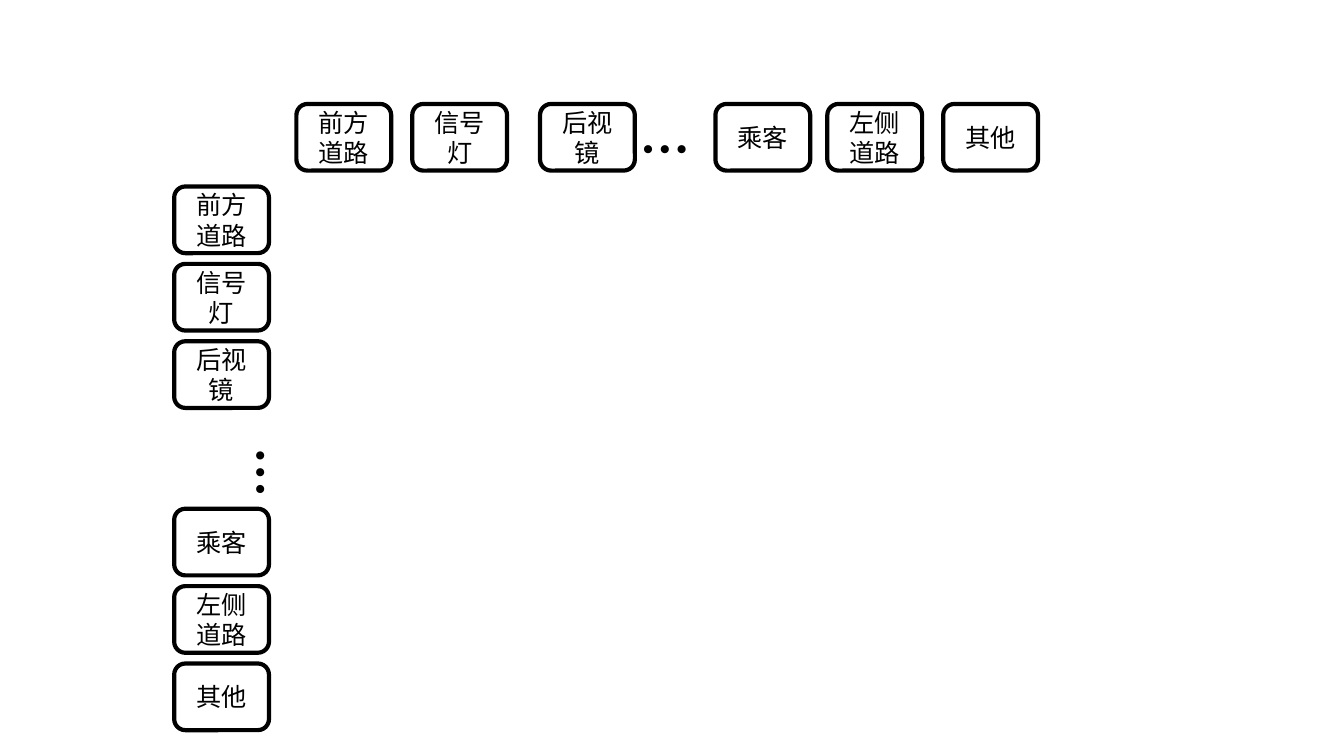
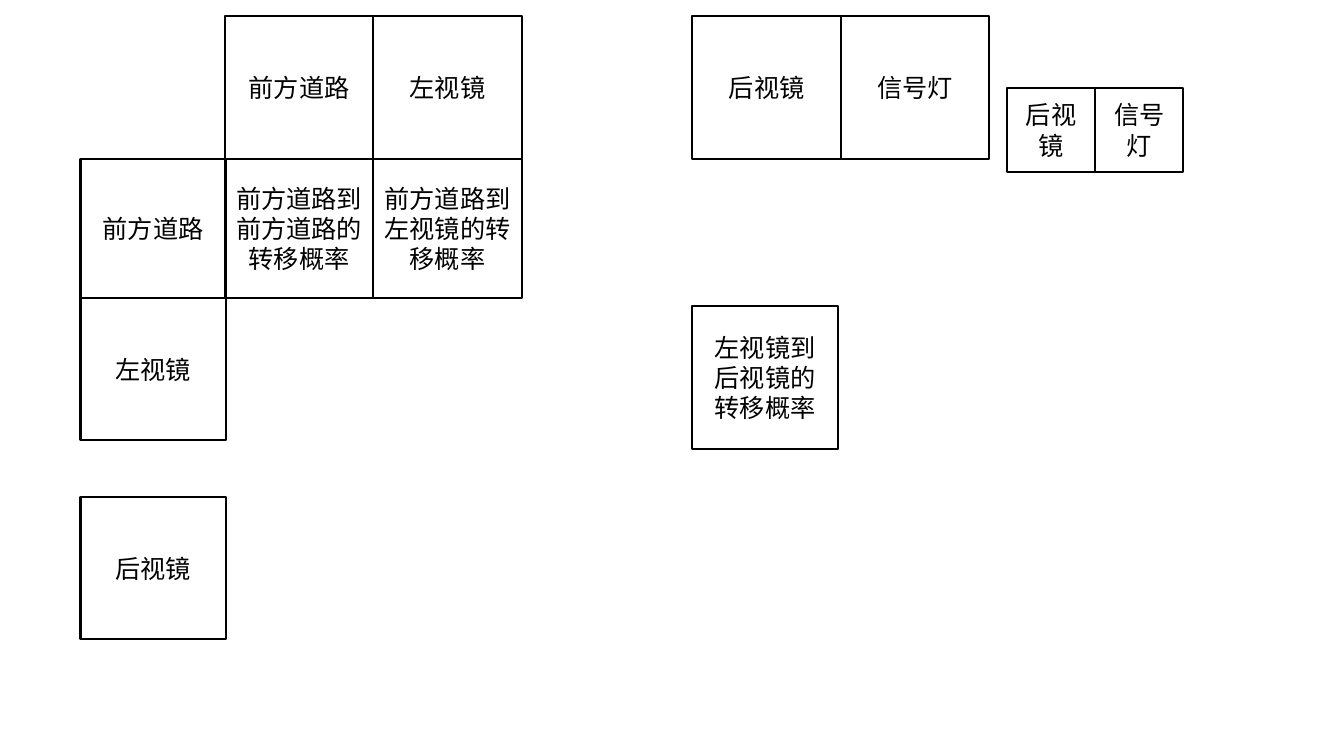
import pptx
import pptx.util
import pptx.dml.color
import pptx.enum.shapes
import pptx.enum.text
import pptx.oxml.ns
from lxml import etree

Cm = pptx.util.Cm
Pt = pptx.util.Pt
KIND = pptx.enum.shapes.MSO_SHAPE
ALIGN = pptx.enum.text.PP_ALIGN
ANCHOR = pptx.enum.text.MSO_ANCHOR

COLOURS = {"ink": "000000"}
FONT = "Noto Sans CJK SC"

ITEMS = ["前方道路", "信号灯", "后视镜", "乘客", "左侧道路", "其他"]


def colour(name):
    return pptx.dml.color.RGBColor.from_string(COLOURS[name])


def write(frame, text, size=18, bold=False, align=ALIGN.CENTER,
          anchor=ANCHOR.MIDDLE, ink="ink"):
    frame.word_wrap = True
    frame.vertical_anchor = anchor
    para = frame.paragraphs[0]
    para.alignment = align
    run = para.add_run()
    run.text = text
    font = run.font
    font.size = Pt(size)
    font.bold = bold
    font.name = FONT
    font.color.rgb = colour(ink)
    # East Asian text takes its typeface from a:ea
    props = run._r.get_or_add_rPr()
    east = etree.SubElement(props, pptx.oxml.ns.qn("a:ea"))
    east.set("typeface", FONT)


def box(slide, text, left, top, width, height, kind=KIND.RECTANGLE, line=1.5):
    shape = slide.shapes.add_shape(
        kind, Cm(left), Cm(top), Cm(width), Cm(height))
    shape.shadow.inherit = False
    shape.fill.background()
    shape.line.color.rgb = colour("ink")
    shape.line.width = Pt(line)
    write(shape.text_frame, text)


def row(slide, texts, left, top, width, height):
    """Draw boxes side by side, edges touching."""
    for i, text in enumerate(texts):
        box(slide, text, left + i * width, top, width, height)


def dots(slide, left, top, turn=0):
    """Draw an ellipsis in vertical text, turned by the given degrees."""
    shape = slide.shapes.add_textbox(Cm(left), Cm(top), Cm(2.06), Cm(1.27))
    shape.rotation = turn
    shape.element.txBody.bodyPr.set("vert", "eaVert")
    write(shape.text_frame, "…", size=36, bold=True,
          align=ALIGN.LEFT, anchor=ANCHOR.TOP)


def axes(slide):
    """Draw the same items as column heads and as row heads."""
    size = (2.39, 1.68)
    cols = [7.47, 10.39, 13.61, 18.03, 20.85, 23.77]
    rows = [start + i * 1.95 for start in (4.7, 12.82) for i in range(3)]
    for text, left, top in zip(ITEMS, cols, rows):
        for spot in ((left, 2.62), (4.39, top)):
            box(slide, text, *spot, *size, kind=KIND.ROUNDED_RECTANGLE, line=3)
    dots(slide, 5.41, 11.02)
    dots(slide, 15.98, 3.02, turn=90)


def matrix(slide):
    """Draw the heads and cells of the transition matrix."""
    side, cell, wide, tall, low = 2.03, 5.67, 3.74, 3.59, 3.51
    head, first, right, slim = 0.41, 4.0, 17.45, 3.66
    row(slide, ["前方道路", "左视镜"], cell, head, wide, tall)
    row(slide, ["后视镜", "信号灯"], right, head, wide, tall)
    row(slide, ["后视镜", "信号灯"], 25.38, 2.21, 2.22, 2.13)
    row(slide, ["前方道路到前方道路的转移概率", "前方道路到左视镜的转移概率"],
        cell, first, wide, low)
    box(slide, "前方道路", side, first, slim, low)
    box(slide, "左视镜", side, first + low, slim, tall)
    box(slide, "后视镜", side, 12.52, slim, tall)
    box(slide, "左视镜到后视镜的转移概率", right, 7.72, slim, tall)


def main():
    deck = pptx.Presentation()
    deck.slide_width = Cm(33.87)
    deck.slide_height = Cm(19.05)
    blank = deck.slide_layouts[6]
    for draw in (axes, matrix):
        draw(deck.slides.add_slide(blank))
    deck.save("out.pptx")


if __name__ == "__main__":
    main()
